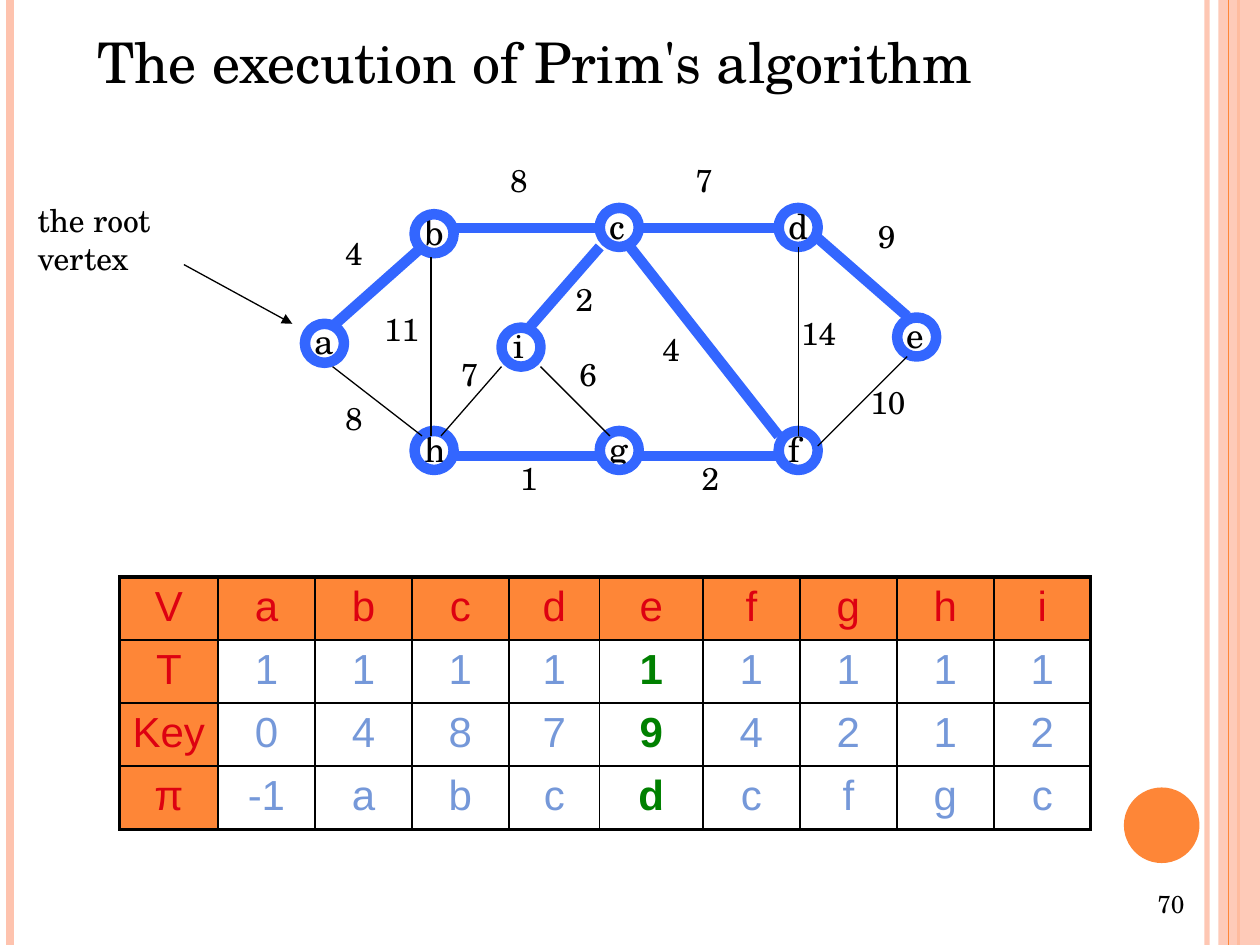
from pptx import Presentation
from pptx.dml.color import RGBColor
from pptx.enum.shapes import MSO_CONNECTOR, MSO_SHAPE
from pptx.enum.text import MSO_ANCHOR, PP_ALIGN
from pptx.oxml.ns import qn
from pptx.util import Inches, Pt
from lxml import etree

STRAIGHT = MSO_CONNECTOR.STRAIGHT
RECT, OVAL = MSO_SHAPE.RECTANGLE, MSO_SHAPE.OVAL
TOP, MIDDLE = MSO_ANCHOR.TOP, MSO_ANCHOR.MIDDLE
LEFT, CENTER, RIGHT = PP_ALIGN.LEFT, PP_ALIGN.CENTER, PP_ALIGN.RIGHT

SERIF, SANS = "TeX Gyre Schola", "Arial"
COLORS = {"text": "000000", "orange": "FE8637", "peach": "FEC3AE", "tree": "3366FF",
          "header": "DD0111", "value": "7598D9", "current": "008000"}

# Lengths are inches from the top left corner of the graph.
NODE_SIZE = 0.31
NODES = {  # name: left, top, width of the letter box
    "a": (0.02, 1.37, 0.36), "b": (0.89, 0.5, 0.36), "c": (2.36, 0.45, 0.34),
    "d": (3.78, 0.45, 0.36), "e": (4.72, 1.32, 0.36), "f": (3.78, 2.22, 0.28),
    "g": (2.36, 2.22, 0.36), "h": (0.89, 2.22, 0.36), "i": (1.58, 1.4, 0.28),
}
EDGES = [  # start, end, in the tree, weight, place of the weight
    ((0.24, 1.39), (0.95, 0.76), True, "4", (0.24, 0.61)),
    ((0.24, 1.71), (0.95, 2.26), False, "8", (0.24, 1.92)),
    ((1.02, 0.84), (1.02, 2.26), False, "11", (0.55, 1.21)),
    ((1.18, 0.61), (2.36, 0.61), True, "8", (1.55, 0.03)),
    ((1.18, 2.42), (2.36, 2.42), True, "1", (1.63, 2.39)),
    ((2.68, 2.42), (3.78, 2.42), True, "2", (3.07, 2.39)),
    ((2.6, 0.76), (3.78, 2.26), True, "4", (2.76, 1.37)),
    ((2.68, 0.61), (3.78, 0.61), True, "7", (3.02, 0.03)),
    ((3.94, 0.76), (3.94, 2.26), False, "14", (3.86, 1.24)),
    ((4.09, 0.69), (4.8, 1.31), True, "9", (4.47, 0.47)),
    ((4.09, 2.34), (4.8, 1.63), False, "10", (4.41, 1.79)),
    ((1.89, 1.71), (2.44, 2.26), False, "6", (2.1, 1.57)),
    ((1.1, 2.26), (1.58, 1.71), False, "7", (1.16, 1.57)),
    ((1.81, 1.39), (2.36, 0.76), True, "2", (2.07, 0.97)),
]

TABLE_ROWS = [
    ["V", "a", "b", "c", "d", "e", "f", "g", "h", "i"],
    ["T", "1", "1", "1", "1", "1", "1", "1", "1", "1"],
    ["Key", "0", "4", "8", "7", "9", "4", "2", "1", "2"],
    ["π", "-1", "a", "b", "c", "d", "c", "f", "g", "c"],
]
COLUMN_WIDTHS = [0.78, 0.77, 0.77, 0.77, 0.72, 0.82, 0.77, 0.77, 0.77, 0.77]
CURRENT_COLUMN = 5


def rgb(name):
    return RGBColor.from_string(COLORS[name])


def set_alpha(fill_parent, percent):
    color = fill_parent.find(".//" + qn("a:srgbClr"))
    etree.SubElement(color, qn("a:alpha"), val=str(percent * 1000))


def add_line(slide, start, end, color, width):
    line = slide.shapes.add_connector(STRAIGHT, *map(Inches, (*start, *end)))
    line.line.color.rgb = rgb(color)
    line.line.width = Pt(width)
    etree.SubElement(line._element.spPr, qn("a:effectLst"))
    return line


def add_preset(slide, kind, left, top, width, height):
    sp = slide.shapes.add_shape(kind, *map(Inches, (left, top, width, height)))
    sp.shadow.inherit = False
    return sp


def write(tf, text, size, font=SERIF, color="text", align=LEFT, bold=False):
    p = tf.paragraphs[0]
    p.alignment = align
    r = p.add_run()
    r.text = text
    r.font.size, r.font.name, r.font.bold = Pt(size), font, bold
    r.font.color.rgb = rgb(color)


def add_text(slide, left, top, width, height, text, size, wrap=False, align=LEFT, anchor=TOP):
    tf = slide.shapes.add_textbox(*map(Inches, (left, top, width, height))).text_frame
    tf.word_wrap = wrap
    tf.vertical_anchor = anchor
    write(tf, text, size, align=align)


def add_decoration(slide, width, height):
    """Draw the stripes at both sides and the orange dot."""
    def stripe(x, color, weight):
        return add_line(slide, (x, 0), (x, height), color, weight)

    set_alpha(stripe(width - 0.42, "peach", 3)._element.spPr, 93)
    stripe(0.08, "peach", 4.5)
    stripe(width - 0.17, "orange", 1.5)
    band = add_preset(slide, RECT, width - 0.33, 0, 0.33, height)
    dot = add_preset(slide, OVAL, width - 1.08, height - 1.25, 0.6, 0.6)
    for sp, color in ((band, "peach"), (dot, "orange")):
        sp.fill.solid()
        sp.fill.fore_color.rgb = rgb(color)
        sp.line.fill.background()
    set_alpha(band._element.spPr, 87)
    stripe(width - 0.25, "orange", 0.75)


def add_title(slide, left, top, width, height):
    title = slide.shapes.title
    title.left, title.top, title.width, title.height = map(Inches, (left, top, width, height))
    title.text_frame.vertical_anchor = TOP
    write(title.text_frame, "The execution of Prim's algorithm", 32)


def add_root_note(slide, left, top):
    add_text(slide, left, top, 1.34, 0.9, "the root vertex", 18, wrap=True)
    arrow = add_line(slide, (left + 1.26, top + 0.55), (left + 2.12, top + 1.02), "text", 0.75)
    etree.SubElement(arrow.line._get_or_add_ln(), qn("a:tailEnd"), type="triangle")


def add_graph(slide, left, top):
    for name, (x, y, letter_width) in NODES.items():
        x, y = left + x, top + y
        letter_left = x if name == "i" else x - 0.02
        add_text(slide, letter_left, y - 0.08, letter_width, 0.43, name, 20)
        ring = add_preset(slide, OVAL, x, y, NODE_SIZE, NODE_SIZE)
        ring.fill.background()
        ring.line.color.rgb = rgb("tree")
        ring.line.width = Pt(6)
    for start, end, in_tree, weight, (x, y) in EDGES:
        start, end = ((left + px, top + py) for px, py in (start, end))
        add_line(slide, start, end, *(("tree", 6) if in_tree else ("text", 0.75)))
        label_width = 0.34 if len(weight) == 1 else 0.48
        add_text(slide, left + x, top + y, label_width, 0.4, weight, 18)


def set_borders(cell, outer_sides):
    """Draw thick borders on the outer sides and thin ones elsewhere."""
    tc_pr = cell._tc.get_or_add_tcPr()
    for side in "LRTB":
        width = Pt(2.25 if side in outer_sides else 1)
        ln = etree.SubElement(tc_pr, qn("a:ln" + side), w=str(width))
        fill = etree.SubElement(ln, qn("a:solidFill"))
        etree.SubElement(fill, qn("a:srgbClr"), val=COLORS["text"])


def add_state_table(slide, left, top, row_height):
    n_rows, n_cols = len(TABLE_ROWS), len(COLUMN_WIDTHS)
    frame = slide.shapes.add_table(n_rows, n_cols, Inches(left), Inches(top),
                                   Inches(sum(COLUMN_WIDTHS)), Inches(row_height * n_rows))
    table = frame.table
    table.first_row = table.horz_banding = False
    for column, width in zip(table.columns, COLUMN_WIDTHS):
        column.width = Inches(width)
    for i, values in enumerate(TABLE_ROWS):
        table.rows[i].height = Inches(row_height)
        for j, value in enumerate(values):
            cell = table.cell(i, j)
            edges = {"L": j == 0, "R": j == n_cols - 1, "T": i == 0, "B": i == n_rows - 1}
            set_borders(cell, [side for side, outer in edges.items() if outer])
            is_header = i == 0 or j == 0
            is_current = j == CURRENT_COLUMN and not is_header
            if is_header:
                cell.fill.solid()
                cell.fill.fore_color.rgb = rgb("orange")
            else:
                cell.fill.background()
            color = "header" if is_header else "current" if is_current else "value"
            write(cell.text_frame, value, 24, SANS, color, CENTER, is_current)


def main():
    prs = Presentation()
    prs.slide_width, prs.slide_height = Inches(10), Inches(7.5)
    slide = prs.slides.add_slide(prs.slide_layouts[5])
    add_decoration(slide, 10, 7.5)
    add_text(slide, 7.17, 7, 2.33, 0.35, "70", 14, wrap=True, align=RIGHT, anchor=MIDDLE)
    add_title(slide, 0.67, 0.17, 8.58, 0.64)
    add_root_note(slide, 0.2, 1.55)
    add_state_table(slide, 0.95, 4.58, 0.5)
    add_graph(slide, 2.4, 1.2)
    prs.save("out.pptx")


if __name__ == "__main__":
    main()
